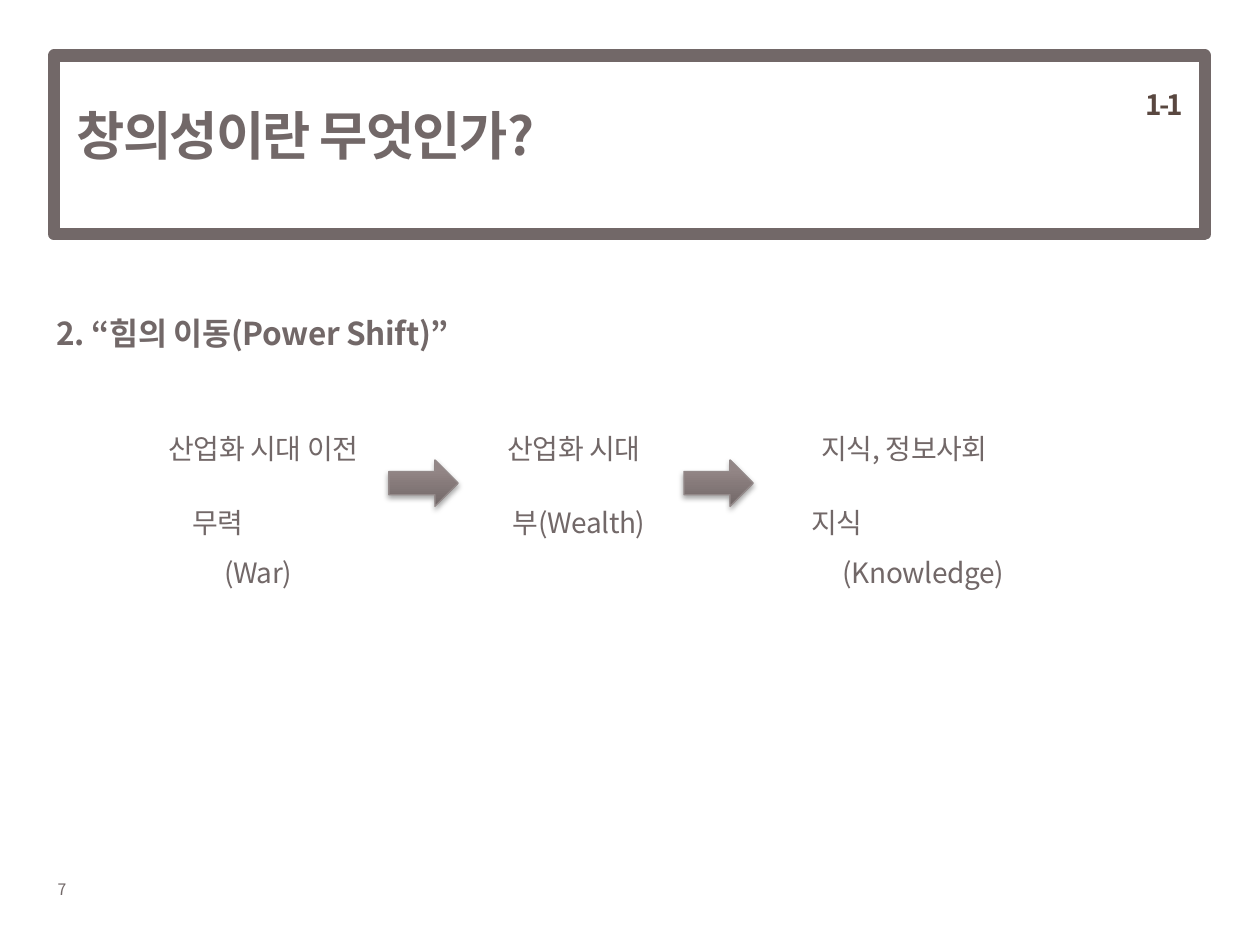
from copy import deepcopy
from dataclasses import dataclass

from lxml.etree import SubElement
from pptx import Presentation
from pptx.dml.color import RGBColor as RGB
from pptx.enum.shapes import MSO_SHAPE as Shape
from pptx.enum.text import MSO_ANCHOR as Anchor, PP_ALIGN as Align
from pptx.oxml.ns import qn
from pptx.util import Pt


@dataclass(frozen=True)
class Theme:
    font: str = "Noto Sans CJK KR"
    ink: str = "726868"
    label: str = "594740"
    arrow_line: str = "938989"
    arrow_stops: tuple = ((0, "716767"), (0.8, "938686"), (1, "948787"))
    shadow: str = "000000"
    title: int = 30
    heading: int = 18
    body: int = 16
    small: int = 9


THEME = Theme()


def write_text(frame, text, *, size, color=THEME.ink, bold=False, align=Align.LEFT,
               anchor=Anchor.TOP, wrap=True, leading=None, hang=0, tracking=0):
    """Fill a frame with one paragraph; hang and tracking are in points."""
    frame.word_wrap = wrap
    frame.vertical_anchor = anchor
    paragraph = frame.paragraphs[0]
    paragraph.alignment = align
    if leading:
        paragraph.line_spacing = leading
    if hang:
        properties = paragraph._p.get_or_add_pPr()
        properties.set("marL", str(Pt(hang)))
        properties.set("indent", str(-Pt(hang)))
    run = paragraph.add_run()
    run.text = text
    run.font.size = Pt(size)
    run.font.bold = bold
    run.font.name = THEME.font
    run.font.color.rgb = RGB.from_string(color)
    run_properties = run._r.get_or_add_rPr()
    run_properties.set("spc", str(round(tracking * 100)))
    SubElement(run_properties, qn("a:ea")).set("typeface", THEME.font)


class SlideBuilder:
    def __init__(self, slide, theme):
        self.slide = slide
        self.theme = theme

    def title(self, text, left, top, width, height):
        holder = self.slide.shapes.title
        holder.left, holder.top = Pt(left), Pt(top)
        holder.width, holder.height = Pt(width), Pt(height)
        write_text(holder.text_frame, text, size=self.theme.title, bold=True,
                   anchor=Anchor.MIDDLE, tracking=-1)

    def text(self, text, left, top, width, height, **style):
        box = self.slide.shapes.add_textbox(Pt(left), Pt(top), Pt(width), Pt(height))
        write_text(box.text_frame, text, **style)

    def hanging(self, text, left, top, width, height, **style):
        self.text(text, left, top, width, height, leading=1.5, hang=18,
                  tracking=-0.2, **style)

    def frame(self, left, top, width, height, weight):
        frame = self.slide.shapes.add_shape(
            Shape.RECTANGLE, Pt(left), Pt(top), Pt(width), Pt(height))
        frame.shadow.inherit = False
        frame.fill.background()
        frame.line.color.rgb = RGB.from_string(self.theme.ink)
        frame.line.width = Pt(weight)

    def arrow(self, left, top, width, height):
        arrow = self.slide.shapes.add_shape(
            Shape.RIGHT_ARROW, Pt(left), Pt(top), Pt(width), Pt(height))
        arrow.line.color.rgb = RGB.from_string(self.theme.arrow_line)
        arrow.line.width = Pt(0.75)
        arrow.fill.gradient()
        arrow.fill.gradient_angle = 90
        properties = arrow._element.spPr
        stop_list = properties.find(".//" + qn("a:gsLst"))
        stop_list.insert(1, deepcopy(stop_list[0]))
        for stop, (position, color) in zip(arrow.fill.gradient_stops,
                                           self.theme.arrow_stops):
            stop.position = position
            stop.color.rgb = RGB.from_string(color)
        self.drop_shadow(arrow)

    def drop_shadow(self, shape):
        shape.shadow.inherit = False
        effects = shape._element.spPr.find(qn("a:effectLst"))
        shadow = SubElement(effects, qn("a:outerShdw"), blurRad=str(Pt(3.1)),
                            dist=str(Pt(1.8)), dir="5400000", rotWithShape="0")
        color = SubElement(shadow, qn("a:srgbClr"), val=self.theme.shadow)
        SubElement(color, qn("a:alpha"), val="35000")


def main():
    deck = Presentation()
    deck.slide_width, deck.slide_height = Pt(720), Pt(540)
    title_only = deck.slide_layouts[5]
    page = SlideBuilder(deck.slides.add_slide(title_only), THEME)

    page.title("창의성이란 무엇인가?", 36.7, 31.7, 516.2, 90.7)
    page.frame(31, 31.7, 657.4, 102.2, weight=7)
    page.text("1-1", 553.7, 9.4, 129.6, 85, size=THEME.body, color=THEME.label,
              bold=True, align=Align.RIGHT, leading=Pt(56), tracking=-1.5)
    page.hanging("2. “힘의 이동(Power Shift)”", 25.2, 164.9, 260.6, 28,
                 size=THEME.heading, bold=True)

    # Each era and its source of power: text, left, width
    eras = [("산업화 시대 이전", 89.3, 154), ("산업화 시대", 283, 108),
            ("지식, 정보사회", 462.2, 130.3)]
    powers = [("무력(War)", 103, 79.2), ("부(Wealth)", 285.8, 102.2),
              ("지식(Knowledge)", 456.5, 124.6)]
    for top, row in ((233.3, eras), (275.8, powers)):
        for text, left, width in row:
            page.hanging(text, left, top, width, 42.5, size=THEME.body)

    for left in (222.2, 390.8):
        page.arrow(left, 262.8, 39.6, 26.6)

    page.text("7", 25.9, 499, 37.4, 18, size=THEME.small, wrap=False)
    deck.save("out.pptx")


if __name__ == "__main__":
    main()
